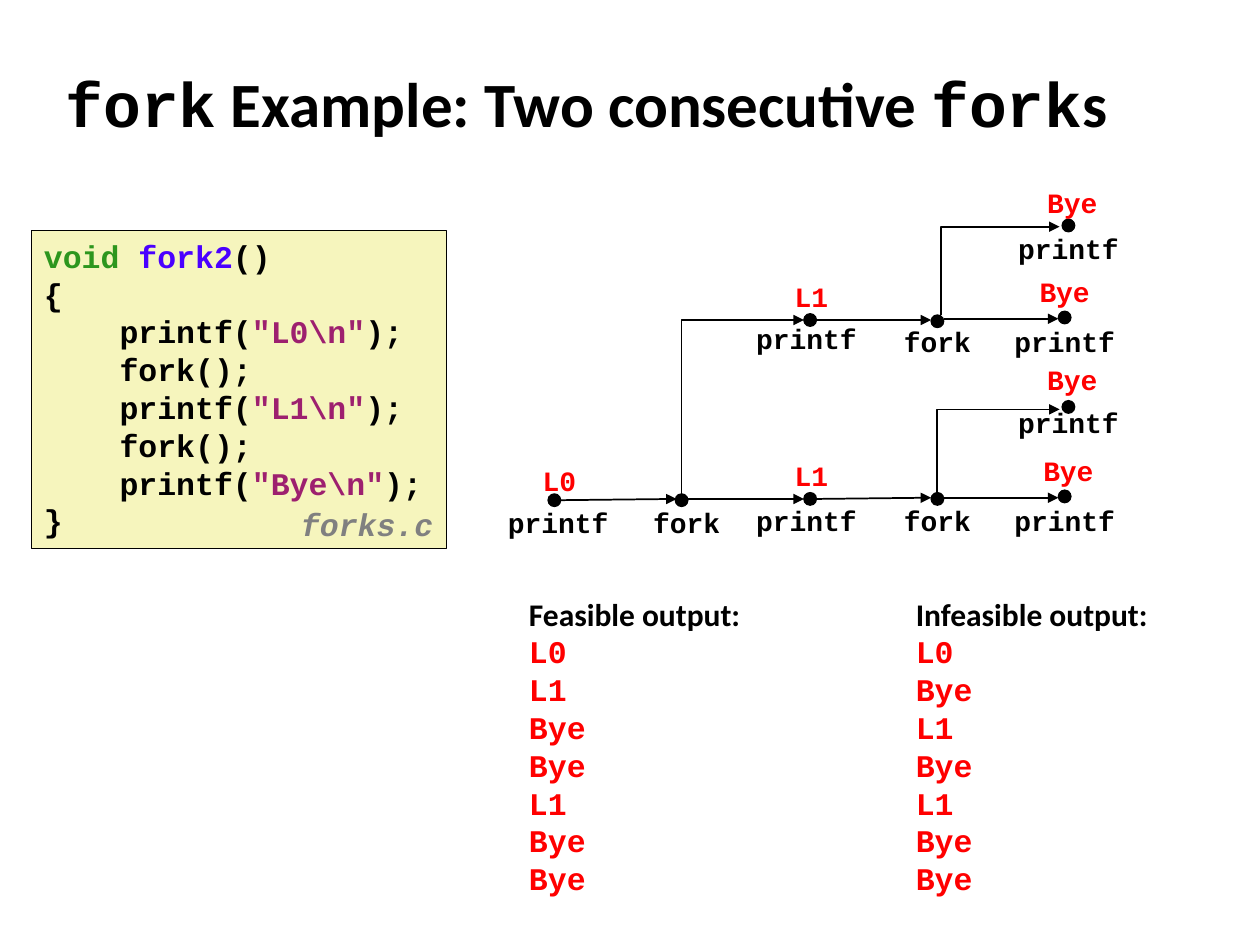
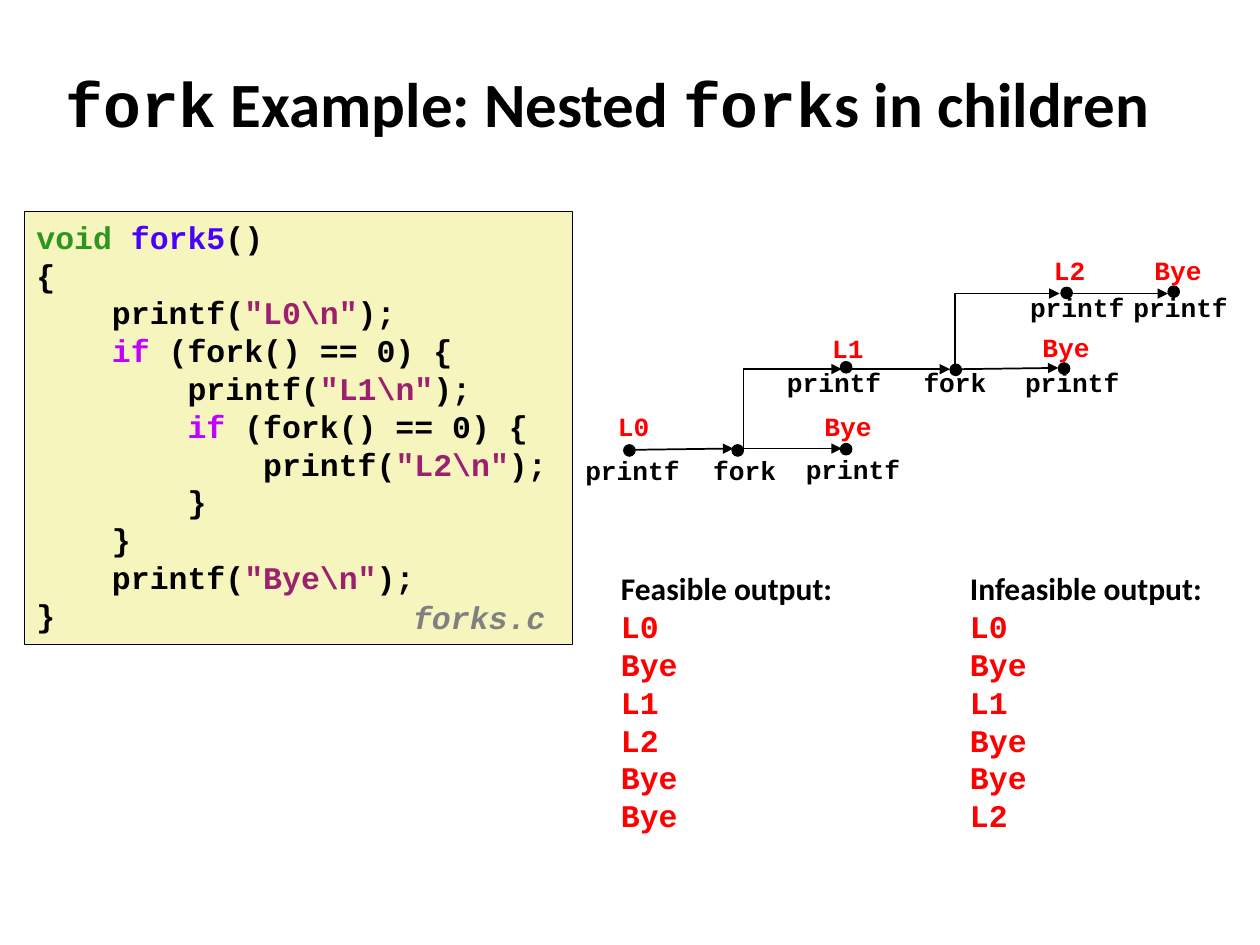
from lxml.etree import SubElement
from pptx import Presentation
from pptx.dml.color import RGBColor
from pptx.enum.shapes import MSO_CONNECTOR as Link, MSO_SHAPE as Form
from pptx.enum.text import MSO_ANCHOR as Anchor, MSO_AUTO_SIZE as Fit, PP_ALIGN as Align
from pptx.oxml.ns import qn
from pptx.util import Emu, Pt

PX = 9144  # 100 px to the inch
SANS, MONO = "Calibri", "Courier New"
BLACK, RED, GREY, CREAM = "000000", "FF0000", "808080", "F6F5BD"
PINK = "9D206F"
INKS = {"void": "2D961E", "fork2": "4A00FF", "fork5": "4A00FF", "if": "C200FF"}

# A bar parts the runs of a line that differ in colour or font.
CODE_TWO = r'''|void| |fork2|()
{
    printf(|"L0\n"|);
    fork();
    printf(|"L1\n"|);
    fork();
    printf(|"Bye\n"|);
}'''
CODE_NEST = r'''|void| |fork5|()
{
    printf(|"L0\n"|);
    |if| (fork() == 0) {
        printf(|"L1\n"|);
        |if| (fork() == 0) {
            printf(|"L2\n"|);
        }
    }
    printf(|"Bye\n"|);
}'''

# Node: dot left, top, then each label with its centre and top.
NODES_TWO = [
    (43, 250, ("printf", 51, 254), ("L0", 52, 221)),
    (144, 250, ("fork", 153, 254)),
    (246, 249, ("printf", 248, 253), ("L1", 252, 217)),
    (347, 249, ("fork", 352, 253)),
    (448, 247, ("printf", 453, 253), ("Bye", 456, 213)),
    (451, 176, ("printf", 456, 175), ("Bye", 459, 141)),
    (246, 107, ("printf", 248, 108), ("L1", 252, 75)),
    (347, 108, ("fork", 352, 111)),
    (448, 105, ("printf", 453, 111), ("Bye", 453, 71)),
    (451, 32, ("printf", 456, 37), ("Bye", 459, 0)),
]
STEPS_TWO = [(53, 255, 145, 254), (154, 254, 246, 254), (256, 254, 347, 253),
             (357, 253, 448, 253), (256, 112, 347, 112), (357, 111, 448, 111)]
FORKS_TWO = [(149, 250, 246, 112), (352, 253, 449, 183), (355, 108, 449, 38)]

NODES_NEST = [
    (41, 156, ("printf", 48, 159), ("L0", 49, 124)),
    (127, 156, ("fork", 137, 159)),
    (213, 155, ("printf", 223, 158), ("Bye", 219, 124)),
    (213, 90, ("printf", 208, 89), ("L1", 219, 62)),
    (300, 92, ("fork", 304, 89)),
    (386, 91, ("printf", 397, 89), ("Bye", 392, 61)),
    (388, 31, ("printf", 401, 29), ("L2", 395, 0)),
    (473, 30, ("printf", 483, 29), ("Bye", 481, 0)),
]
STEPS_NEST = [(50, 160, 128, 159), (136, 159, 214, 159), (222, 96, 300, 96),
              (308, 96, 386, 95), (395, 36, 473, 36)]
FORKS_NEST = [(136, 159, 214, 96), (304, 96, 387, 36)]


def px(*sizes):
    return [Emu(round(size * PX)) for size in sizes]


def rgb(ink):
    return RGBColor.from_string(ink)


def style(font, size, ink=BLACK, name=MONO):
    font.size, font.name, font.bold = Pt(size), name, True
    font.color.rgb = rgb(ink)


def solid(shape, fill, width):
    shape.shadow.inherit = False
    shape.fill.solid()
    shape.fill.fore_color.rgb = rgb(fill)
    shape.line.color.rgb = rgb(BLACK)
    shape.line.width = Pt(width)


def lines(frame, texts):
    """Put one paragraph per text in a frame that does not wrap."""
    frame.word_wrap = False
    frame.auto_size = Fit.SHAPE_TO_FIT_TEXT
    for i, text in enumerate(texts):
        para = frame.add_paragraph() if i else frame.paragraphs[0]
        for part in filter(None, text.split("|")):
            para.add_run().text = part
    return frame.paragraphs


def title(slide, text, box):
    head = slide.shapes.title
    head.left, head.top, head.width, head.height = px(*box)
    frame = head.text_frame
    para = lines(frame, [text])[0]
    frame.word_wrap, frame.auto_size = True, Fit.NONE
    frame.vertical_anchor = Anchor.MIDDLE
    para.alignment = Align.LEFT
    props = para._p.get_or_add_pPr()
    props.set("marL", str(13 * PX))
    props.set("indent", str(-13 * PX))
    style(para.font, 36, name=SANS)
    for run in para.runs:
        run.font.name = MONO if run.text == "fork" else SANS


def code(slide, text, box):
    panel = slide.shapes.add_shape(Form.RECTANGLE, *px(*box))
    solid(panel, CREAM, 0.25)
    panel.text_frame.vertical_anchor = Anchor.TOP
    for para in lines(panel.text_frame, text.split("\n")):
        para.alignment = Align.LEFT
        style(para.font, 18)
        for run in para.runs:
            ink = PINK if run.text.startswith('"') else INKS.get(run.text, BLACK)
            run.font.color.rgb = rgb(ink)


def source(slide, box):
    """Name the file that the code comes from."""
    note = slide.shapes.add_textbox(*px(*box))
    para = lines(note.text_frame, ["forks.c"])[0]
    para.line_spacing = 0.94
    style(para.font, 18, GREY)
    para.font.italic = True


def arrow(shapes, kind, ends):
    wire = shapes.add_connector(kind, *px(*ends))
    wire.line.color.rgb = rgb(BLACK)
    wire.line.width = Pt(1)
    props = wire.element.spPr
    SubElement(props.find(qn("a:ln")), qn("a:tailEnd"), type="triangle")
    SubElement(props, qn("a:effectLst"))
    return props


def elbow(shapes, x1, y1, x2, y2):
    """Draw an arrow that goes up first and then right."""
    mid_x, mid_y = (x1 + x2) / 2, (y1 + y2) / 2
    rise, run = (y1 - y2) / 2, (x2 - x1) / 2
    # The frame lies on its side and is turned a quarter about its centre.
    props = arrow(shapes, Link.ELBOW,
                  (mid_x + rise, mid_y + run, mid_x - rise, mid_y - run))
    props.find(qn("a:xfrm")).set("rot", "5400000")
    props.find(qn("a:prstGeom")).set("prst", "bentConnector2")


def label(shapes, word, mid, top, size):
    wide = 104
    tag = shapes.add_textbox(*px(mid - wide / 2, top, wide, 37))
    para = lines(tag.text_frame, [word])[0]
    para.alignment = Align.CENTER
    style(para.font, size, BLACK if word in ("printf", "fork") else RED)


def graph(slide, left, top, nodes, steps, forks, dot, size):
    """Draw the process graph from its left top corner."""
    shapes = slide.shapes.add_group_shape().shapes
    for x1, y1, x2, y2 in steps:
        arrow(shapes, Link.STRAIGHT, (left + x1, top + y1, left + x2, top + y2))
    for x1, y1, x2, y2 in forks:
        elbow(shapes, left + x1, top + y1, left + x2, top + y2)
    for x, y, *tags in nodes:
        point = shapes.add_shape(Form.OVAL, *px(left + x, top + y, dot, dot))
        solid(point, BLACK, 0.75)
        for word, mid, high in tags:
            label(shapes, word, left + mid, top + high, size)


def output(slide, head, words, box):
    area = slide.shapes.add_textbox(*px(*box))
    first, *rest = lines(area.text_frame, [head, *words.split()])
    style(first.font, 18, name=SANS)
    for para in rest:
        style(para.font, 18, RED)


def main():
    deck = Presentation()
    deck.slide_width, deck.slide_height = px(1000, 750)
    two, nest = [deck.slides.add_slide(deck.slide_layouts[5]) for _ in range(2)]

    title(two, "fork| Example: Two consecutive |fork|s", (42, 50, 933, 63))
    code(two, CODE_TWO, (25, 183, 329, 252))
    graph(two, 392, 142, NODES_TWO, STEPS_TWO, FORKS_TWO, dot=10, size=16)
    output(two, "Feasible output:", "L0 L1 Bye Bye L1 Bye Bye", (410, 467, 190, 252))
    output(two, "Infeasible output:", "L0 Bye L1 Bye L1 Bye Bye", (717, 467, 207, 252))
    source(two, (229, 398, 132, 39))

    title(nest, "fork| Example: Nested |fork|s in children", (42, 50, 922, 63))
    code(nest, CODE_NEST, (19, 168, 435, 343))
    graph(nest, 454, 197, NODES_NEST, STEPS_NEST, FORKS_NEST, dot=9, size=15)
    output(nest, "Feasible output:", "L0 Bye L1 L2 Bye Bye", (483, 447, 190, 222))
    output(nest, "Infeasible output:", "L0 Bye L1 Bye Bye L2", (760, 447, 207, 222))
    source(nest, (318, 472, 132, 39))
    deck.save("out.pptx")


if __name__ == "__main__":
    main()
